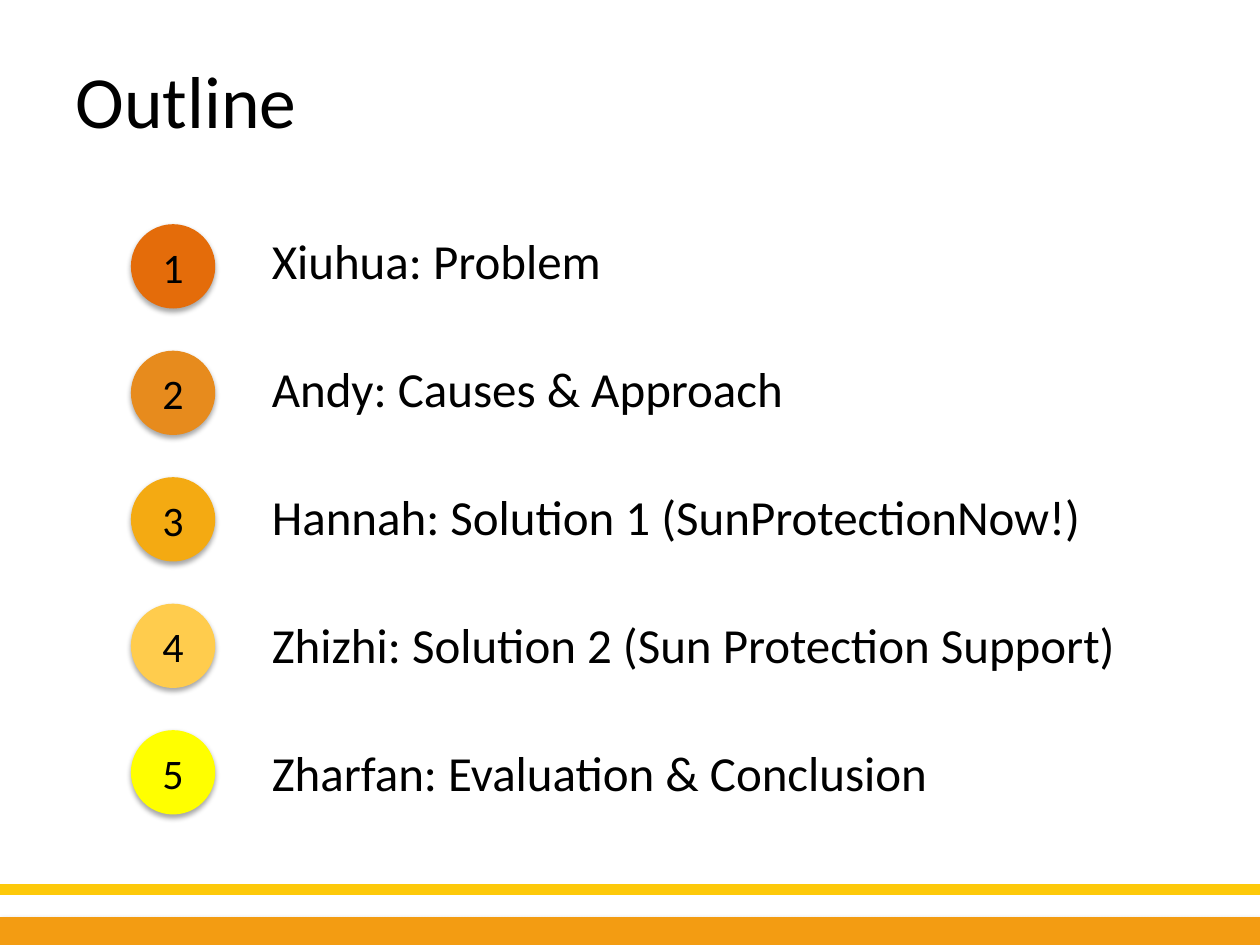
from typing import NamedTuple

from lxml.etree import SubElement
from pptx import Presentation
from pptx.dml.color import RGBColor
from pptx.enum.shapes import MSO_CONNECTOR, MSO_SHAPE
from pptx.enum.text import MSO_ANCHOR, PP_ALIGN
from pptx.oxml.ns import qn
from pptx.util import Cm, Pt

BLACK = RGBColor(0x00, 0x00, 0x00)
YELLOW_LINE = RGBColor(0xFD, 0xC9, 0x0A)
ORANGE_BAND = RGBColor(0xF3, 0x9C, 0x12)

FONT = "Calibri"
FOOTER_WIDTH = Cm(25.45)
TOP = 4.52
BADGE_LEFT, BADGE_SIZE, BADGE_PITCH = 2.64, 1.7, 2.55
TOPIC_LEFT, TOPIC_HEIGHT, TOPIC_PITCH = 5.23, 1.45, 2.58


class Section(NamedTuple):
    topic: str
    color: RGBColor
    width: float


SECTIONS = [
    Section("Xiuhua: Problem", RGBColor(0xE4, 0x6C, 0x0A), 13.74),
    Section("Andy: Causes & Approach", RGBColor(0xE7, 0x8B, 0x1D), 13.74),
    Section("Hannah: Solution 1 (SunProtectionNow!)", RGBColor(0xF4, 0xAA, 0x12), 18.52),
    Section("Zhizhi: Solution 2 (Sun Protection Support)", RGBColor(0xFF, 0xCC, 0x4D), 17.81),
    Section("Zharfan: Evaluation & Conclusion", RGBColor(0xFF, 0xFF, 0x00), 17.02),
]


def write(shape, text: str, *, size: int, align=PP_ALIGN.LEFT, anchor=MSO_ANCHOR.TOP) -> None:
    frame = shape.text_frame
    frame.word_wrap = True
    frame.vertical_anchor = anchor
    paragraph = frame.paragraphs[0]
    paragraph.alignment = align
    run = paragraph.add_run()
    run.text = text
    run.font.name = FONT
    run.font.size = Pt(size)
    run.font.color.rgb = BLACK


def add_shadowed(slide, preset, left, top, width, height, color: RGBColor):
    """Add a borderless filled shape with a soft shadow below it."""
    shape = slide.shapes.add_shape(preset, left, top, width, height)
    shape.fill.solid()
    shape.fill.fore_color.rgb = color
    shape.line.fill.background()
    shape.shadow.inherit = False
    effects = shape.element.spPr.find(qn("a:effectLst"))
    shadow = SubElement(effects, qn("a:outerShdw"), blurRad=str(Pt(3.1)), dist=str(Pt(1.8)),
                        dir="5400000", rotWithShape="0")
    shadow_color = SubElement(shadow, qn("a:srgbClr"), val=str(BLACK))
    SubElement(shadow_color, qn("a:alpha"), val="35000")
    return shape


def add_footer(slide) -> None:
    stripe = slide.shapes.add_connector(MSO_CONNECTOR.STRAIGHT, 0, Cm(17.93), FOOTER_WIDTH, Cm(17.93))
    stripe.line.color.rgb = YELLOW_LINE
    stripe.line.width = Pt(6)
    SubElement(stripe.element.spPr, qn("a:effectLst"))
    add_shadowed(slide, MSO_SHAPE.RECTANGLE, 0, Cm(18.49), FOOTER_WIDTH, Cm(0.61), ORANGE_BAND)


def add_section(slide, index: int, section: Section) -> None:
    badge = add_shadowed(slide, MSO_SHAPE.OVAL, Cm(BADGE_LEFT), Cm(TOP + index * BADGE_PITCH),
                         Cm(BADGE_SIZE), Cm(BADGE_SIZE), section.color)
    write(badge, str(index + 1), size=24, align=PP_ALIGN.CENTER, anchor=MSO_ANCHOR.MIDDLE)
    topic = slide.shapes.add_textbox(Cm(TOPIC_LEFT), Cm(TOP + index * TOPIC_PITCH),
                                     Cm(section.width), Cm(TOPIC_HEIGHT))
    write(topic, section.topic, size=28)


def main() -> None:
    presentation = Presentation()
    presentation.slide_width, presentation.slide_height = Cm(25.4), Cm(19.05)
    slide = presentation.slides.add_slide(presentation.slide_layouts[5])
    add_footer(slide)

    title = slide.shapes.title
    title.left, title.top, title.width, title.height = Cm(1.27), Cm(0.99), Cm(20.17), Cm(2.06)
    write(title, "Outline", size=42)

    for index, section in enumerate(SECTIONS):
        add_section(slide, index, section)
    presentation.save("out.pptx")


if __name__ == "__main__":
    main()
